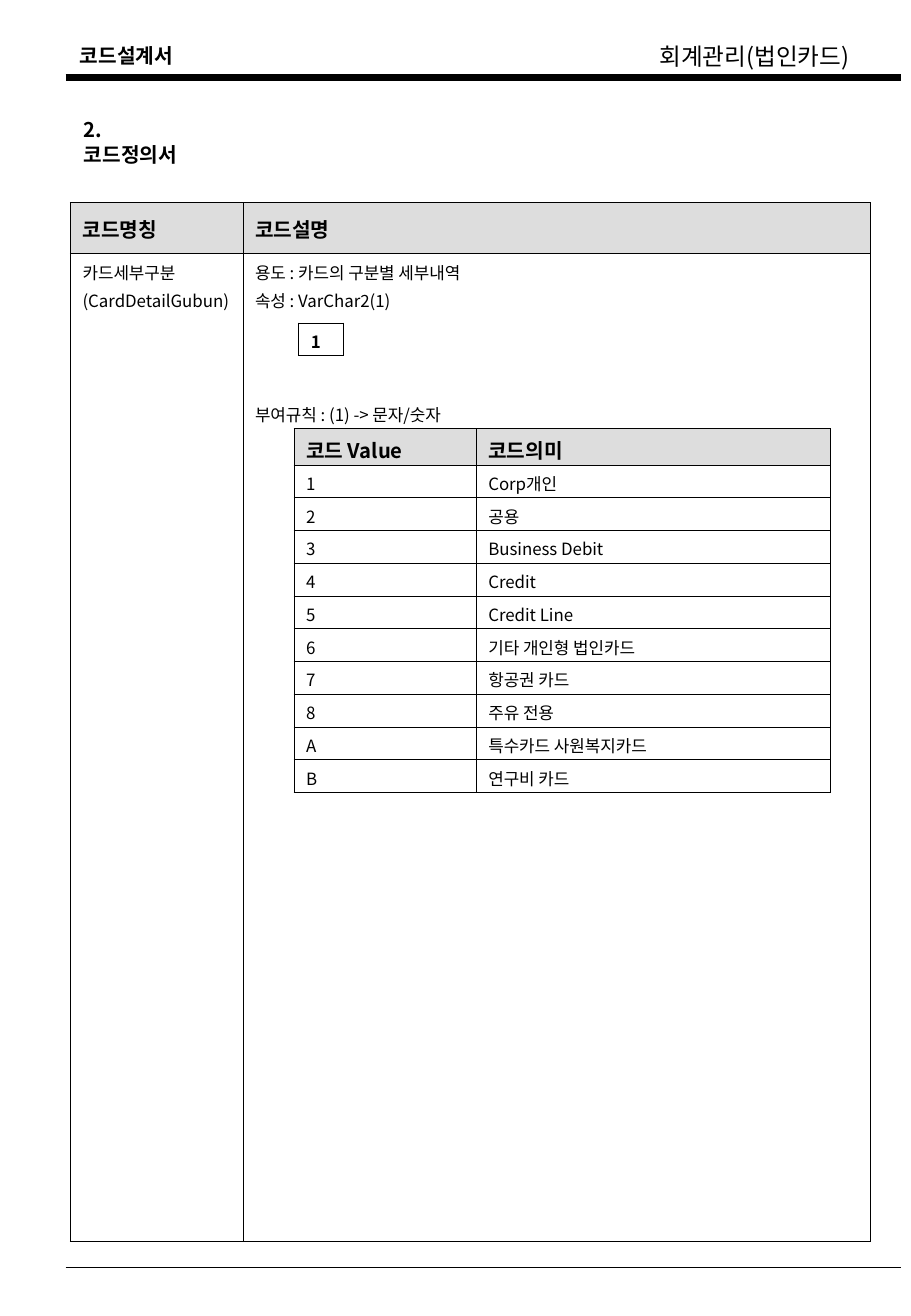
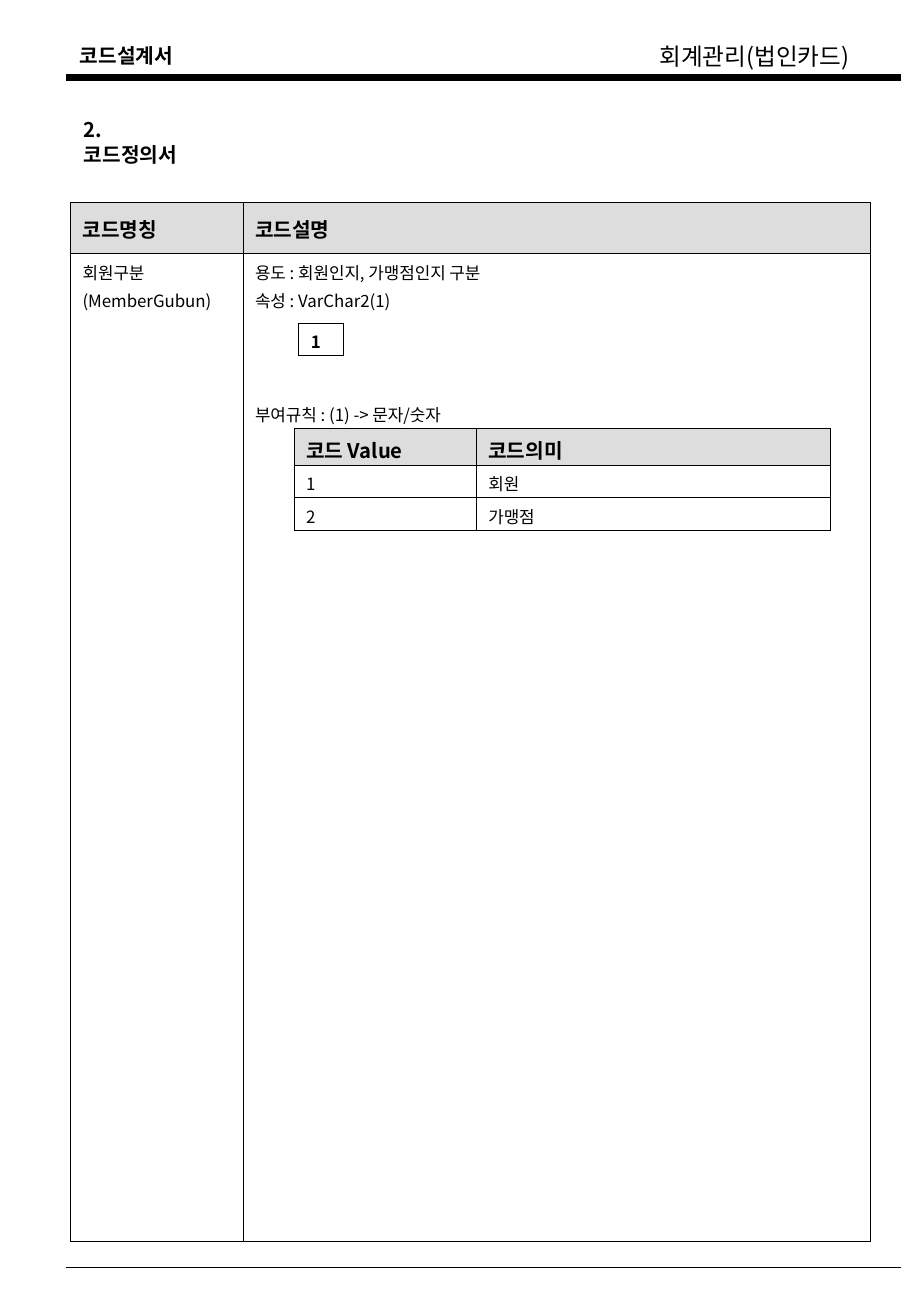
from lxml.etree import SubElement
from pptx import Presentation
from pptx.dml.color import RGBColor
from pptx.enum.shapes import MSO_CONNECTOR
from pptx.enum.text import MSO_ANCHOR, MSO_AUTO_SIZE, PP_ALIGN
from pptx.oxml.ns import qn
from pptx.util import Inches, Pt

COLORS = {"ink": "000000", "header": "DDDDDD"}
FONT = "Noto Sans CJK KR"
HEADING_SIZE, BODY_SIZE = 12, 10
THICK_BORDER, THIN_BORDER = 0.75, 0.45
TITLE_ONLY = 5
PARAGRAPH_GAP = 2.5
RULE_GAP = 53  # room for the digit box above the rule line

CODES = [
    {
        "name": ["카드세부구분", "(CardDetailGubun)"],
        "purpose": "카드의 구분별 세부내역",
        "values": [
            ("1", "Corp개인"),
            ("2", "공용"),
            ("3", "Business Debit"),
            ("4", "Credit"),
            ("5", "Credit Line"),
            ("6", "기타 개인형 법인카드"),
            ("7", "항공권 카드"),
            ("8", "주유 전용"),
            ("A", "특수카드 사원복지카드"),
            ("B", "연구비 카드"),
        ],
    },
    {
        "name": ["회원구분", "(MemberGubun)"],
        "purpose": "회원인지, 가맹점인지 구분",
        "values": [("1", "회원"), ("2", "가맹점")],
    },
]


def format_paragraph(paragraph, size, bold=False):
    paragraph.alignment = PP_ALIGN.LEFT
    for run in paragraph.runs:
        run.font.size = Pt(size)
        run.font.bold = bold
        run.font.name = FONT
        run.font.color.rgb = RGBColor.from_string(COLORS["ink"])
        east_asian = SubElement(run.font._element, qn("a:ea"))
        east_asian.set("typeface", FONT)


def add_label(slide, text, left, top, width, height, size, bold=False):
    label = slide.shapes.add_textbox(Inches(left), Inches(top), Inches(width), Inches(height))
    label.text_frame.word_wrap = True
    label.text_frame.text = text
    format_paragraph(label.text_frame.paragraphs[0], size, bold)
    return label


def add_rule(slide, top, weight):
    rule = slide.shapes.add_connector(
        MSO_CONNECTOR.STRAIGHT, Inches(0.54), Inches(top), Inches(7.42), Inches(top))
    rule.line.color.rgb = RGBColor.from_string(COLORS["ink"])
    rule.line.width = Pt(weight)
    SubElement(rule.element.spPr, qn("a:effectLst"))
    return rule


def furnish_layout(slide):
    """Move the page header and footer rules from the slide onto its layout."""
    layout = slide.slide_layout
    for placeholder in list(layout.placeholders):
        if placeholder.placeholder_format.idx:
            layout.shapes.element.remove(placeholder.element)
    furniture = [
        add_label(slide, "코드설계서", 0.56, 0.31, 1.5, 0.3, 12, bold=True),
        add_rule(slide, 0.64, 4.5),
        add_rule(slide, 10.44, 1),
        add_label(slide, "회계관리(법인카드)", 5.33, 0.3, 2.1, 0.34, 14),
    ]
    for shape_id, shape in enumerate(furniture, start=20):
        shape.element.xpath(".//p:cNvPr")[0].set("id", str(shape_id))
        layout.shapes.element.append(shape.element)


def set_title(slide, text):
    title = slide.shapes.title
    title.left, title.top = Inches(0.59), Inches(0.92)
    title.width, title.height = Inches(1.1), Inches(0.55)
    frame = title.text_frame
    frame.text = text
    frame.word_wrap = True
    frame.auto_size = MSO_AUTO_SIZE.NONE
    frame.vertical_anchor = MSO_ANCHOR.TOP
    frame.paragraphs[0].line_spacing = 1.0
    format_paragraph(frame.paragraphs[0], HEADING_SIZE, bold=True)


def set_borders(cell, widths):
    """Draw the borders; widths maps an edge letter (L, R, T, B) to points."""
    properties = cell._tc.get_or_add_tcPr()
    for index, (edge, width) in enumerate(widths.items()):
        line = properties.makeelement(qn(f"a:ln{edge}"), {"w": str(Pt(width))})
        fill = SubElement(line, qn("a:solidFill"))
        SubElement(fill, qn("a:srgbClr")).set("val", COLORS["ink"])
        properties.insert(index, line)


def fill_cell(cell, lines, size, bold, bottom_margin):
    cell.margin_bottom = Inches(bottom_margin)
    cell.text_frame.text = "\n".join(lines)
    for index, paragraph in enumerate(cell.text_frame.paragraphs):
        if index:
            paragraph.space_before = Pt(PARAGRAPH_GAP)
        format_paragraph(paragraph, size, bold)


def add_grid(slide, left, top, columns, heights, rows, has_header=True,
             outer=THIN_BORDER, bottom_margin=0.0):
    """Add a ruled table whose cells are lists of lines."""
    table = slide.shapes.add_table(
        len(rows), len(columns), Inches(left), Inches(top),
        Inches(sum(columns)), Inches(sum(heights))).table
    table.first_row = has_header
    table.horz_banding = False
    for column, width in zip(table.columns, columns):
        column.width = Inches(width)
    last_row, last_column = len(rows) - 1, len(columns) - 1
    for r, (row, height) in enumerate(zip(rows, heights)):
        table.rows[r].height = Inches(height)
        is_header = has_header and r == 0
        for c, lines in enumerate(row):
            cell = table.cell(r, c)
            fill_cell(cell, lines, HEADING_SIZE if is_header else BODY_SIZE,
                      is_header, bottom_margin)
            if is_header:
                cell.vertical_anchor = MSO_ANCHOR.MIDDLE
                cell.fill.solid()
                cell.fill.fore_color.rgb = RGBColor.from_string(COLORS["header"])
            else:
                cell.fill.background()
            on_edge = {"L": c == 0, "R": c == last_column, "T": r == 0, "B": r == last_row}
            set_borders(cell, {edge: outer if is_outer else THIN_BORDER
                               for edge, is_outer in on_edge.items()})
    return table


def add_definition(slide, code):
    description = [f"용도 : {code['purpose']}", "속성 : VarChar2(1)", "부여규칙 : (1) -> 문자/숫자"]
    rows = [[["코드명칭"], ["코드설명"]], [code["name"], description]]
    table = add_grid(slide, 0.58, 1.67, [1.42, 5.17], [0.42, 8.14], rows,
                     outer=THICK_BORDER, bottom_margin=0.05)
    table.cell(1, 1).text_frame.paragraphs[-1].space_before = Pt(RULE_GAP)


def add_value_table(slide, values):
    rows = [[[text] for text in row] for row in [("코드 Value", "코드의미"), *values]]
    add_grid(slide, 2.42, 3.53, [1.5, 2.92], [0.3] + [0.27] * len(values), rows)


def add_digit_box(slide):
    table = add_grid(slide, 2.46, 2.66, [0.37], [0.27], [[["1"]]], has_header=False)
    table.cell(0, 0).text_frame.paragraphs[0].runs[0].font.bold = True


def main():
    presentation = Presentation()
    presentation.slide_width, presentation.slide_height = Inches(7.5), Inches(10.84)
    layout = presentation.slide_layouts[TITLE_ONLY]
    for index, code in enumerate(CODES):
        slide = presentation.slides.add_slide(layout)
        if index == 0:
            furnish_layout(slide)
        set_title(slide, "2. 코드정의서")
        add_definition(slide, code)
        add_value_table(slide, code["values"])
        add_digit_box(slide)
    presentation.save("out.pptx")


if __name__ == "__main__":
    main()
